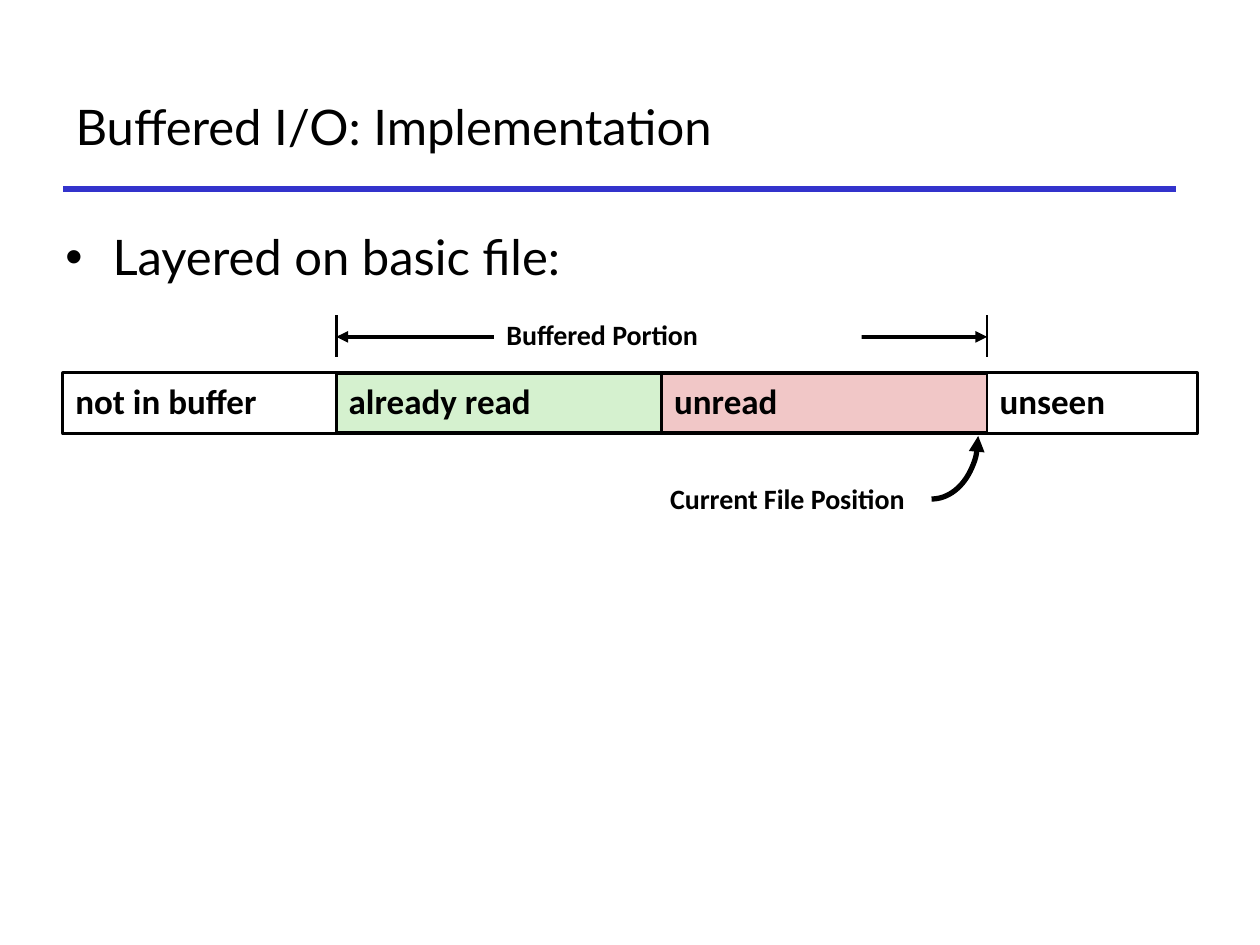
from lxml import etree
from pptx import Presentation
from pptx.dml.color import RGBColor
from pptx.enum.shapes import MSO_CONNECTOR, MSO_SHAPE
from pptx.enum.text import MSO_ANCHOR, PP_ALIGN
from pptx.oxml.ns import qn
from pptx.util import Cm, Pt

COLORS = {
    "text": "000000",
    "rule": "3333CC",
    "plain": "FFFFFF",
    "read": "D5F1CF",
    "unread": "F1C7C7",
}
HEADING = {"name": "Lato", "size": Pt(28), "bold": False}
CELL = {"name": "Calibri", "size": Pt(20), "bold": True}
LABEL = {"name": "Calibri", "size": Pt(16), "bold": True}


def color(name):
    return RGBColor.from_string(COLORS[name])


def write(shape, text, font, anchor=MSO_ANCHOR.TOP, align=PP_ALIGN.LEFT, spacing=1.0):
    frame = shape.text_frame
    frame.word_wrap = True
    frame.vertical_anchor = anchor
    paragraph = frame.paragraphs[0]
    paragraph.alignment = align
    paragraph.line_spacing = spacing
    run = paragraph.add_run()
    run.text = text
    for attribute, value in font.items():
        setattr(run.font, attribute, value)
    run.font.color.rgb = color("text")
    return paragraph


def add_box(slide, left, top, width, height, fill=None, line_width=None,
            kind=MSO_SHAPE.RECTANGLE):
    shape = slide.shapes.add_shape(kind, Cm(left), Cm(top), Cm(width), Cm(height))
    shape.shadow.inherit = False
    if fill:
        shape.fill.solid()
        shape.fill.fore_color.rgb = color(fill)
    else:
        shape.fill.background()
    if line_width:
        shape.line.color.rgb = color("text")
        shape.line.width = Pt(line_width)
    else:
        shape.line.fill.background()
    return shape


def add_line(slide, start, end, width, line_color="text"):
    line = slide.shapes.add_connector(
        MSO_CONNECTOR.STRAIGHT, *[Cm(value) for value in (*start, *end)])
    line.line.color.rgb = color(line_color)
    line.line.width = Pt(width)
    etree.SubElement(line._element.spPr, qn("a:effectLst"))
    return line


def add_arrowheads(shape, *ends):
    for end in ends:
        etree.SubElement(shape.line._get_or_add_ln(), qn(f"a:{end}"), type="triangle")


def add_title(slide, left, top, width, height):
    title = slide.shapes.title
    box = {"left": left, "top": top, "width": width, "height": height}
    for attribute, value in box.items():
        setattr(title, attribute, Cm(value))
    write(title, "Buffered I/O: Implementation", HEADING, MSO_ANCHOR.MIDDLE)
    # Rule under the title
    bottom = top + height
    add_line(slide, (left, bottom), (left + width, bottom), 3, "rule")


def add_bullet(slide, left, top, width, height):
    box = slide.shapes.add_textbox(Cm(left), Cm(top), Cm(width), Cm(height))
    paragraph = write(box, "Layered on basic file:", HEADING)
    properties = paragraph._p.get_or_add_pPr()
    properties.set("marL", str(Cm(0.95)))
    properties.set("indent", str(-Cm(0.95)))
    etree.SubElement(properties, qn("a:buFont"), typeface="Arial")
    etree.SubElement(properties, qn("a:buChar"), char="•")


def add_buffer_diagram(slide, left, top, width):
    bar_top, bar_height = top + 1.17, 1.22
    outer_width, portion_width = 5.51, 6.56
    start = left + outer_width
    middle = start + portion_width
    end = middle + portion_width

    def add_cell(text, x, cell_width, fill):
        cell = add_box(slide, x, bar_top, cell_width, bar_height, fill, 1.5)
        write(cell, text, CELL, MSO_ANCHOR.MIDDLE, spacing=0.9)

    # File bar: buffered cells, frame, unbuffered cells
    add_cell("unread", middle, portion_width, "unread")
    add_cell("already read", start, portion_width, "read")
    add_box(slide, left, bar_top, width, bar_height, line_width=2.25)
    add_cell("not in buffer", left, outer_width, "plain")
    add_cell("unseen", end, left + width - end, "plain")

    # Buffered portion: end ticks, span arrow and label
    for x in (start, end):
        add_line(slide, (x, top), (x, top + 0.84), 1.5)
    span = add_line(slide, (start, top + 0.44), (end, top + 0.44), 2.25)
    add_arrowheads(span, "headEnd", "tailEnd")
    label = add_box(slide, start + 3.18, top, 7.41, 0.94, "plain")
    write(label, "Buffered Portion", LABEL, spacing=0.9)

    # Current position: label and quarter arc up to the end of the buffer
    caption = slide.shapes.add_textbox(
        Cm(left + 10.03), Cm(top + 3.3), Cm(7.19), Cm(0.94))
    write(caption, "Current File Position", LABEL, align=PP_ALIGN.RIGHT, spacing=0.9)
    radius_x, radius_y = 0.94, 1.27
    arc = add_box(slide, end - 0.18 - 2 * radius_x, top + 2.44 - radius_y,
                  2 * radius_x, 2 * radius_y, line_width=3, kind=MSO_SHAPE.ARC)
    arc.adjustments[0] = 0
    arc.adjustments[1] = 54  # 90 degrees
    add_arrowheads(arc, "headEnd")


def main():
    presentation = Presentation()
    presentation.slide_width = Cm(25.4)
    presentation.slide_height = Cm(19.05)
    slide = presentation.slides.add_slide(presentation.slide_layouts[5])
    add_title(slide, 1.27, 1.27, 22.43, 2.54)
    add_bullet(slide, 1.07, 4.45, 23.09, 11)
    add_buffer_diagram(slide, 1.27, 6.35, 22.86)
    presentation.save("out.pptx")


if __name__ == "__main__":
    main()
